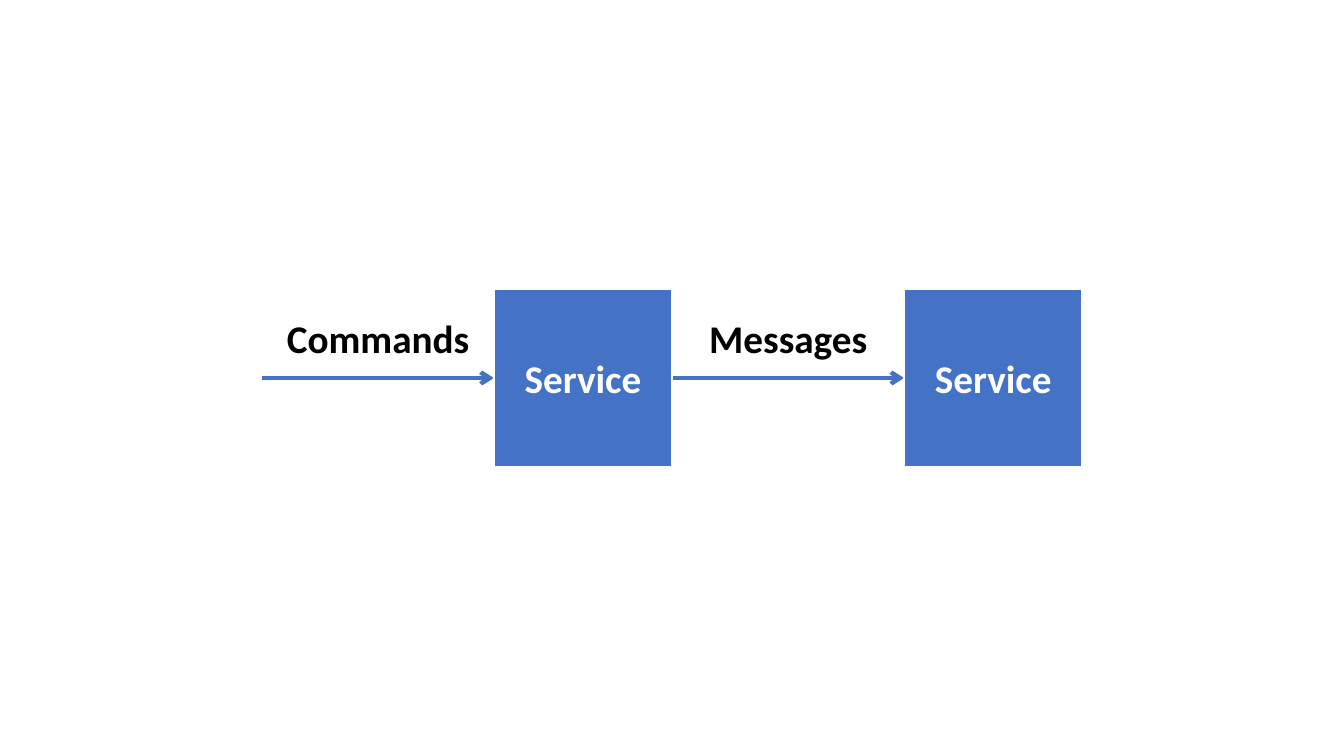
from pptx import Presentation
from pptx.dml.color import RGBColor
from pptx.enum.shapes import MSO_CONNECTOR, MSO_SHAPE
from pptx.enum.text import MSO_ANCHOR, MSO_AUTO_SIZE, PP_ALIGN
from pptx.oxml.ns import qn
from pptx.util import Pt
from lxml.etree import SubElement

BLUE, WHITE, BLACK = "4472C4", "FFFFFF", "000000"


def color(target, value):
    target.rgb = RGBColor.from_string(value)


def write(shape, text, fill, anchor):
    frame = shape.text_frame
    frame.vertical_anchor = anchor
    paragraph = frame.paragraphs[0]
    paragraph.alignment = PP_ALIGN.CENTER
    run = paragraph.add_run()
    run.text = text
    run.font.name, run.font.size, run.font.bold = "Calibri", Pt(28), True
    color(run.font.color, fill)


prs = Presentation()
prs.slide_width, prs.slide_height = Pt(960), Pt(540)
slide = prs.slides.add_slide(prs.slide_layouts[6])

# Each step is an arrow leading into a service
side, gap, middle = 127.4, 165.6, 270
first_arrow = 187.2
steps = [("Commands", 146), ("Messages", 129)]
starts = [first_arrow + i * (side + gap) for i in range(len(steps))]

# Arrows, behind the services
arrows = []
for start in starts:
    arrow = slide.shapes.add_connector(
        MSO_CONNECTOR.STRAIGHT, Pt(start), Pt(middle), Pt(start + gap), Pt(middle))
    arrow.line.width = Pt(3)
    color(arrow.line.color, BLUE)
    SubElement(arrow.line._get_or_add_ln(), qn("a:tailEnd"), type="arrow")
    SubElement(arrow._element.spPr, qn("a:effectLst"))
    arrows.append(arrow)

# Services
services = []
for start in starts:
    service = slide.shapes.add_shape(
        MSO_SHAPE.RECTANGLE, Pt(start + gap), Pt(middle - side / 2), Pt(side), Pt(side))
    service.shadow.inherit = False
    service.fill.solid()
    color(service.fill.fore_color, BLUE)
    service.line.width = Pt(1.5)
    color(service.line.color, WHITE)
    write(service, "Service", fill=WHITE, anchor=MSO_ANCHOR.MIDDLE)
    services.append(service)

# Join the arrows to the services
for arrow, service in zip(arrows, services):
    arrow.end_connect(service, 1)
for arrow, service in zip(arrows[1:], services):
    arrow.begin_connect(service, 3)

# Labels centred above the arrows
for start, (message, width) in zip(starts, steps):
    label = slide.shapes.add_textbox(
        Pt(start + (gap - width) / 2), Pt(221), Pt(width), Pt(41))
    label.text_frame.word_wrap = False
    label.text_frame.auto_size = MSO_AUTO_SIZE.SHAPE_TO_FIT_TEXT
    write(label, message, fill=BLACK, anchor=MSO_ANCHOR.BOTTOM)

prs.save("out.pptx")
